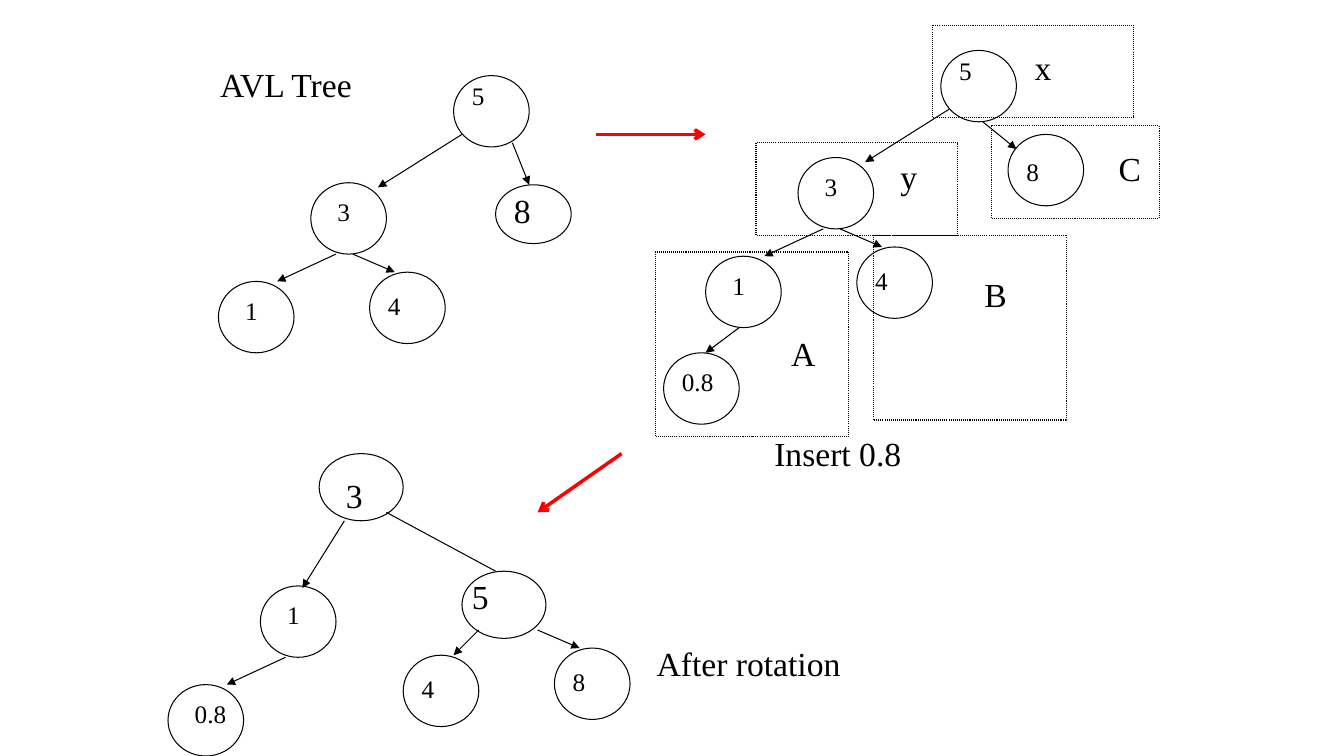
from lxml.etree import SubElement
from pptx import Presentation
from pptx.dml.color import RGBColor
from pptx.enum.dml import MSO_LINE
from pptx.enum.shapes import MSO_CONNECTOR, MSO_SHAPE
from pptx.enum.text import MSO_ANCHOR, MSO_AUTO_SIZE, PP_ALIGN
from pptx.oxml.ns import qn
from pptx.util import Inches, Pt

BLACK = RGBColor(0x00, 0x00, 0x00)
RED = RGBColor(0xFF, 0x00, 0x00)
COLUMNS, ROWS = 160, 90
SMALL, LARGE = 18, 24
CIRCLE = (9, 8.5)
OVAL = (10, 8)


class TreeSlide:
    """Draws on one slide; all lengths are grid columns and rows."""

    font_name = "Times New Roman"
    frame_format = {
        "word_wrap": True,
        "auto_size": MSO_AUTO_SIZE.SHAPE_TO_FIT_TEXT,
        "vertical_anchor": MSO_ANCHOR.TOP,
        "margin_left": Inches(0.1),
        "margin_right": Inches(0.1),
        "margin_top": Inches(0.05),
        "margin_bottom": Inches(0.05),
    }

    def __init__(self, presentation):
        self.slide = presentation.slides.add_slide(presentation.slide_layouts[5])
        self.shapes = self.slide.shapes
        self.column = presentation.slide_width / COLUMNS
        self.row = presentation.slide_height / ROWS

    def place(self, across, down):
        return round(across * self.column), round(down * self.row)

    def fill_text(self, shape, text, size):
        for name, value in self.frame_format.items():
            setattr(shape.text_frame, name, value)
        paragraph = shape.text_frame.paragraphs[0]
        paragraph.text = text
        paragraph.alignment = PP_ALIGN.LEFT
        font_format = {"name": self.font_name, "size": Pt(size), "bold": False}
        for name, value in font_format.items():
            setattr(paragraph.font, name, value)
        paragraph.font.color.rgb = BLACK

    def title(self, text, left, top, width):
        title = self.shapes.title
        title.left, title.top = self.place(left, top)
        title.width, title.height = self.place(width, 6)
        self.fill_text(title, text, LARGE)

    def label(self, text, left, top, width, size=LARGE):
        height = 6 if size == LARGE else 4.8
        box = self.shapes.add_textbox(*self.place(left, top), *self.place(width, height))
        self.fill_text(box, text, size)

    def outline(self, kind, left, top, width, height, dash=None):
        shape = self.shapes.add_shape(
            kind, *self.place(left, top), *self.place(width, height))
        shape.shadow.inherit = False
        shape.fill.background()
        shape.line.color.rgb = BLACK
        shape.line.width = Pt(0.75)
        if dash:
            shape.line.dash_style = dash

    def node(self, key, left, top, shift, label_width, size=SMALL, oval=CIRCLE):
        self.outline(MSO_SHAPE.OVAL, left, top, *oval)
        self.label(key, left + shift[0], top + shift[1], label_width, size)

    def edge(self, start, end, head="triangle", color=BLACK, width=0.75):
        connector = self.shapes.add_connector(
            MSO_CONNECTOR.STRAIGHT, *self.place(*start), *self.place(*end))
        connector.line.color.rgb = color
        connector.line.width = Pt(width)
        properties = connector._element.spPr
        if head:
            SubElement(properties.find(qn("a:ln")), qn("a:tailEnd"), type=head)
        SubElement(properties, qn("a:effectLst"))

    def region(self, name, left, top, width, height, name_left, name_top):
        self.outline(MSO_SHAPE.RECTANGLE, left, top, width, height, MSO_LINE.ROUND_DOT)
        self.label(name, name_left, name_top, 8)

    def branch(self, parent, child, across, down):
        """A parent node and its left child, joined by an arrow."""
        self.node(parent, across + 37, down + 21.75, (2, 1.05), 16)
        self.node(child, across + 26, down + 33.5, (2, 1.05), 10)
        self.edge((across + 40, down + 30.25), (across + 33, down + 33.5))

    def common_tree(self, across, down):
        """Nodes 5, 3, 1 and 4, which are alike before and after the insertion."""
        self.node("5", across + 54, down + 9, (1, 0), 16)
        self.branch("3", "1", across, down)
        self.node("4", across + 44, down + 32.4, (1, 1.55), 12)
        self.edge((across + 55, down + 16), (across + 45, down + 22.3))
        self.edge((across + 42, down + 30.25), (across + 47, down + 32.4))


def main():
    presentation = Presentation()
    presentation.slide_width = Inches(13.33)
    presentation.slide_height = Inches(7.5)
    slide = TreeSlide(presentation)

    # First tree
    slide.title("AVL Tree", 25, 7, 48)
    slide.common_tree(0, 0)
    slide.node("8", 59, 22, (1, 0), 12, LARGE, (9, 7))
    slide.edge((61, 17), (63, 22))

    # Tree after the insertion
    slide.common_tree(58, -3)
    slide.node("8", 120, 16, (1, 2), 11)
    slide.edge((117, 14.5), (121, 17.75))
    slide.node("0.8", 79, 42, (1, 1), 16)
    slide.edge((88, 39), (84, 42))
    slide.label("Insert 0.8", 91, 51, 49)

    # Dotted regions of the rotation
    for region in (
        ("x", 111, 3, 24, 11, 122, 5),
        ("y", 90, 17, 24, 11, 106, 18),
        ("A", 78, 30, 23, 22, 93, 39),
        ("B", 104, 28, 23, 22, 116, 32),
        ("C", 118, 15, 20, 11, 132, 17),
    ):
        slide.region(*region)

    # Tree after the rotation
    slide.node("3", 38, 54, (2, 2), 25, LARGE, OVAL)
    slide.node("5", 55, 68, (0, 0), 10, LARGE, OVAL)
    slide.branch("1", "0.8", -6, 48)
    slide.node("4", 48, 78, (1, 1.55), 12)
    slide.node("8", 66, 77.15, (1, 1.55), 12)
    slide.edge((46, 61), (59, 68), head=None)
    for start, end in (
        ((41, 62), (36, 70)),
        ((57, 75), (54, 78)),
        ((64, 75), (69, 77.15)),
    ):
        slide.edge(start, end)
    slide.label("After rotation", 77, 76, 30)

    # Red arrows between the steps
    for start, end in (((71, 16), (84, 16)), ((74, 54), (64, 61))):
        slide.edge(start, end, "arrow", RED, 2.5)

    presentation.save("out.pptx")


if __name__ == "__main__":
    main()
